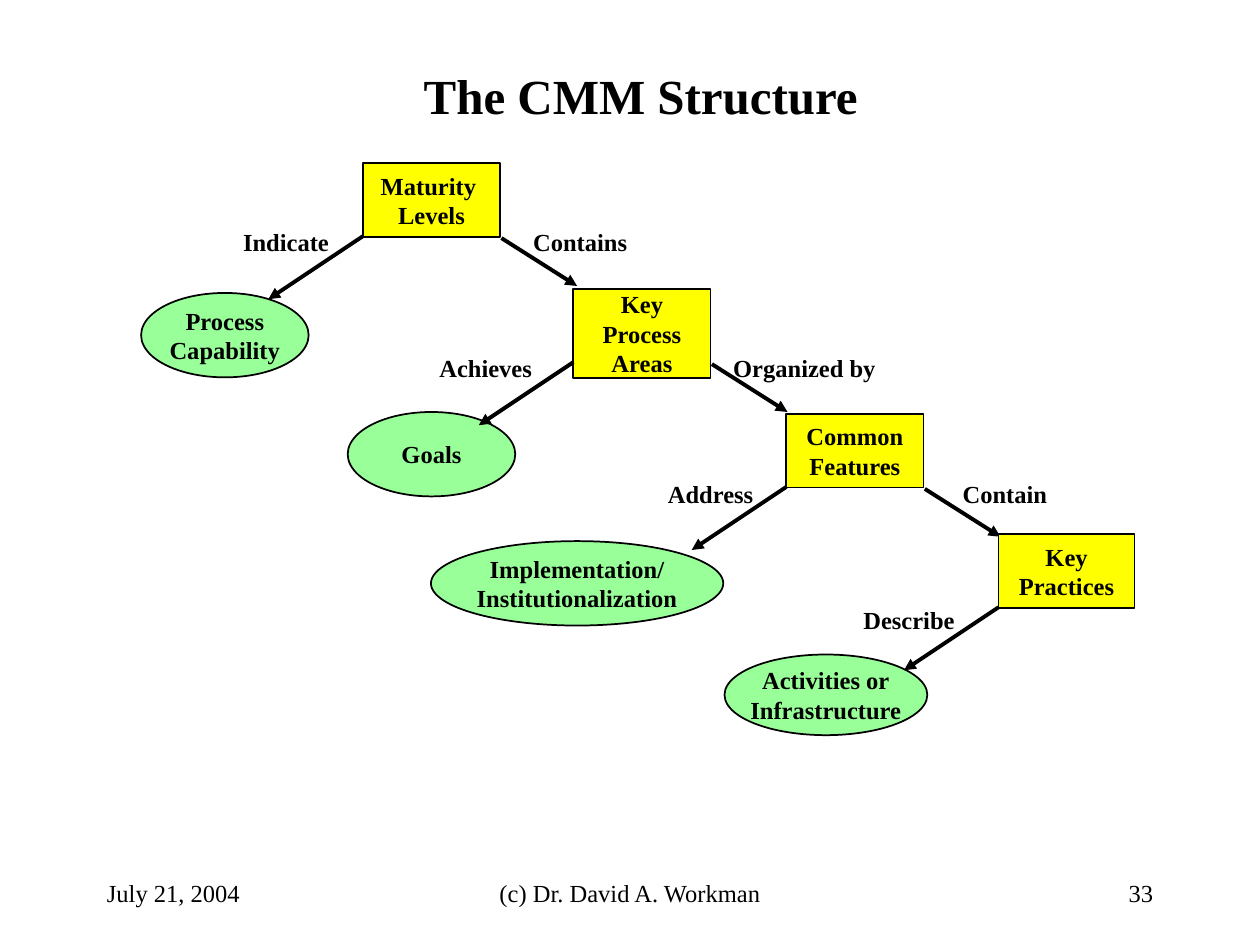
import collections

import lxml.etree
import pptx
import pptx.dml.color
import pptx.enum.shapes
import pptx.enum.text
import pptx.oxml.ns
import pptx.util

COLUMNS = 100
SLIDE_WIDTH, SLIDE_HEIGHT = pptx.util.Inches(10), pptx.util.Inches(7.5)
CELL = SLIDE_WIDTH / COLUMNS  # square cells: 100 columns by 75 rows

COLORS = {"ink": "000000", "level": "FFFF00", "outcome": "99FF99"}
FONT = "Times New Roman"
SHAPES = pptx.enum.shapes.MSO_SHAPE
ALIGN = pptx.enum.text.PP_ALIGN
ANCHOR = pptx.enum.text.MSO_ANCHOR

Box = collections.namedtuple("Box", "left top width height")
# Label spans are (offset from the left edge of the level, width).
Level = collections.namedtuple(
    "Level", "name box left_label left_span outcome outcome_box right_label right_span")

LEVELS = [
    Level("Maturity \nLevels", Box(28.8, 12.95, 10.9, 5.85),
          "Indicate", (-10.7, 9.2),
          "Process\nCapability", Box(-17.6, 10.3, 13.3, 6.7),
          "Contains", (12.3, 9.9)),
    Level("Key\nProcess\nAreas", Box(45.5, 22.95, 10.9, 7.05),
          "Achieves", (-11.8, 9.7),
          "Goals", Box(-17.9, 9.75, 13.3, 6.7),
          "Organized by", (11.5, 13.7)),
    Level("Common\nFeatures", Box(62.4, 32.85, 10.9, 5.85),
          "Address", (-10.6, 9.2),
          "Implementation/\nInstitutionalization", Box(-28.2, 10.1, 23.2, 6.7),
          "Contain", (12.8, 9.1)),
    Level("Key\nPractices", Box(79.25, 42.4, 10.8, 5.85),
          "Describe", (-11.9, 9.6),
          "Activities or\nInfrastructure", Box(-21.75, 9.55, 16.1, 6.4),
          None, None),
]
LABEL_TOP, LABEL_STEP, LABEL_HEIGHT = 17.5, 10, 3.4


def cells(*counts):
    return [round(count * CELL) for count in counts]


def color(key):
    return pptx.dml.color.RGBColor.from_string(COLORS[key])


def write(frame, text, size=14, bold=True, align=ALIGN.CENTER,
          anchor=ANCHOR.MIDDLE, wrap=False):
    frame.word_wrap = wrap
    frame.vertical_anchor = anchor
    for index, line in enumerate(text.split("\n")):
        paragraph = frame.add_paragraph() if index else frame.paragraphs[0]
        paragraph.text = line
        paragraph.alignment = align
        paragraph.font.name = FONT
        paragraph.font.size = pptx.util.Pt(size)
        paragraph.font.bold = bold
        paragraph.font.color.rgb = color("ink")


def add_text(slide, box, text, **style):
    frame = slide.shapes.add_textbox(*cells(*box)).text_frame
    write(frame, text, **style)
    return frame


def add_node(slide, preset, box, text, fill):
    node = slide.shapes.add_shape(preset, *cells(*box))
    node.shadow.inherit = False
    node.fill.solid()
    node.fill.fore_color.rgb = color(fill)
    node.line.color.rgb = color("ink")
    node.line.width = pptx.util.Pt(1)
    write(node.text_frame, text)


def add_arrow(slide, left, top, across, down):
    arrow = slide.shapes.add_connector(
        pptx.enum.shapes.MSO_CONNECTOR.STRAIGHT,
        *cells(left, top, left + across, top + down))
    arrow.line.color.rgb = color("ink")
    arrow.line.width = pptx.util.Pt(2.25)
    qn = pptx.oxml.ns.qn
    lxml.etree.SubElement(arrow.line._get_or_add_ln(), qn("a:tailEnd"), type="triangle")
    lxml.etree.SubElement(arrow._element.spPr, qn("a:effectLst"))


def add_label(slide, box, text):
    frame = add_text(slide, box, text, anchor=ANCHOR.TOP)
    frame.auto_size = pptx.enum.text.MSO_AUTO_SIZE.SHAPE_TO_FIT_TEXT


def add_level(slide, level, label_top):
    """Place a level, its outcome below left and its link to the next level."""
    box, outcome = level.box, level.outcome_box
    outcome_box = Box(box.left + outcome.left, box.top + outcome.top,
                      outcome.width, outcome.height)
    add_node(slide, SHAPES.OVAL, outcome_box, level.outcome, "outcome")
    add_node(slide, SHAPES.RECTANGLE, box, level.name, "level")
    add_arrow(slide, box.left, box.top + 5.8, -7.5, 5)
    if level.right_label:
        add_arrow(slide, box.left + box.width + 0.1, box.top + 5.95, 6, 3.8)
    for text, span in ((level.left_label, level.left_span),
                       (level.right_label, level.right_span)):
        if text:
            offset, width = span
            add_label(slide, Box(box.left + offset, label_top, width, LABEL_HEIGHT), text)


def add_footer(slide, top, height):
    for left, width, text, align in (
            (7.5, 20.8, "July 21, 2004", ALIGN.LEFT),
            (34.15, 31.7, "(c) Dr. David A. Workman", ALIGN.CENTER),
            (71.7, 20.8, "33", ALIGN.RIGHT)):
        add_text(slide, Box(left, top, width, height), text,
                 bold=False, align=align, wrap=True)


def main():
    deck = pptx.Presentation()
    deck.slide_width, deck.slide_height = SLIDE_WIDTH, SLIDE_HEIGHT
    slide = deck.slides.add_slide(deck.slide_layouts[6])
    add_text(slide, Box(8.35, 4.2, 85, 6.7), "The CMM Structure", size=28, wrap=True)
    for index, level in enumerate(LEVELS):
        add_level(slide, level, LABEL_TOP + index * LABEL_STEP)
    add_footer(slide, 68.35, 5)
    deck.save("out.pptx")


if __name__ == "__main__":
    main()
